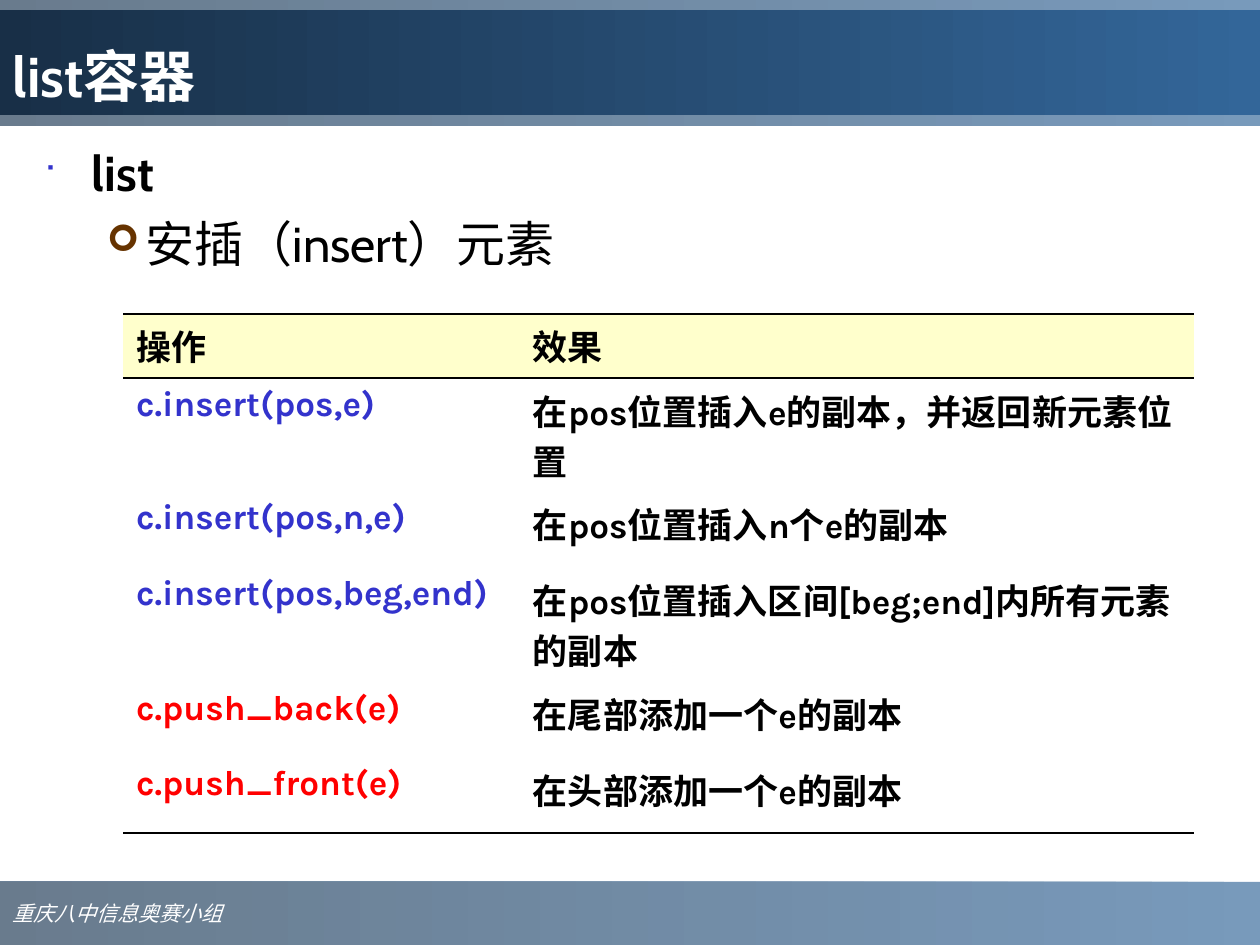
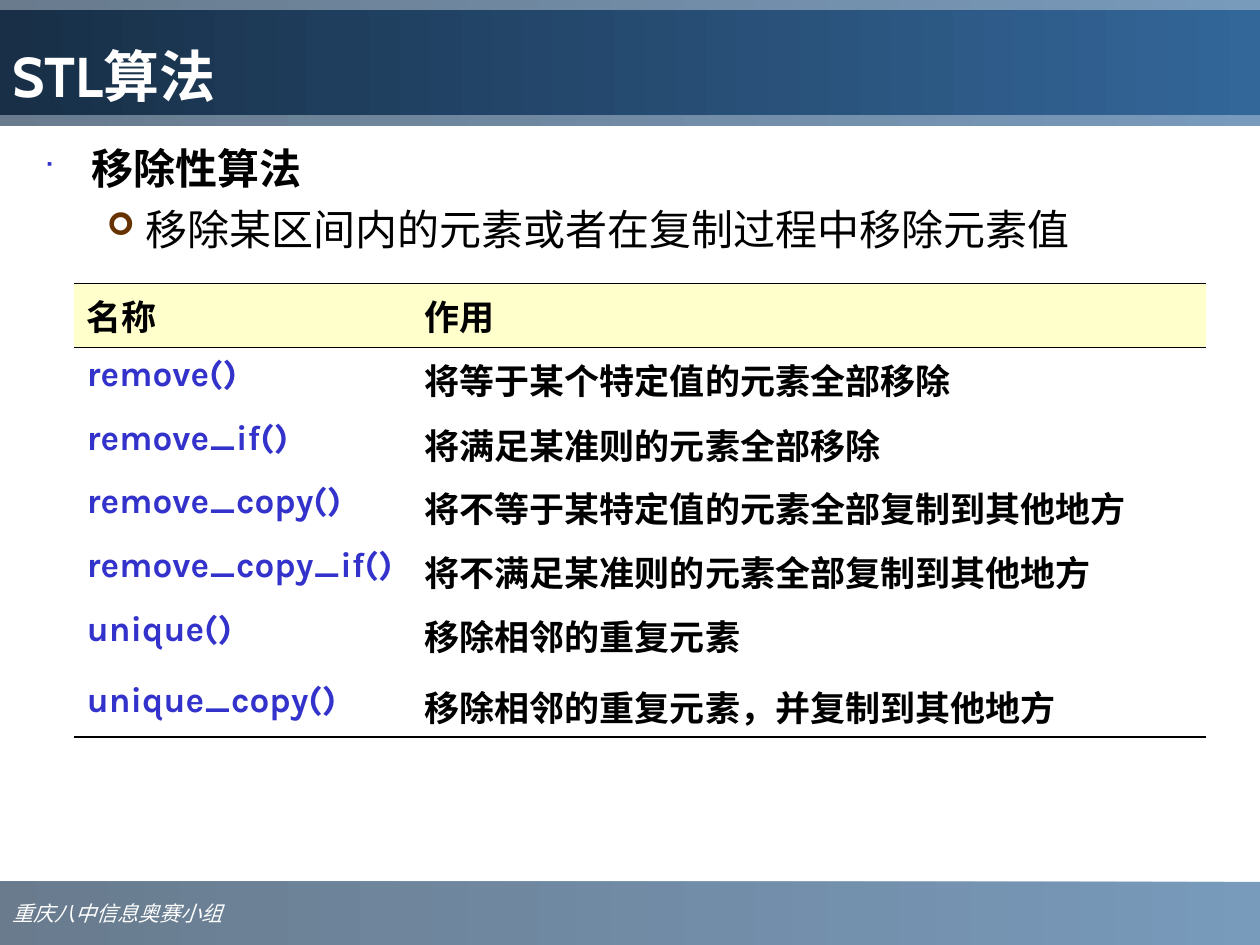
import pptx
import pptx.dml.color
import pptx.enum.lang
import pptx.enum.shapes
import pptx.enum.text
import pptx.oxml
import pptx.oxml.ns
import pptx.util

Inches, Pt = pptx.util.Inches, pptx.util.Pt
MIDDLE = pptx.enum.text.MSO_ANCHOR.MIDDLE
BOTTOM = pptx.enum.text.MSO_ANCHOR.BOTTOM

# Content
BLUE, RED, BLACK, WHITE = "3333CC", "FF0000", "000000", "FFFFFF"
FOOTER = "重庆八中信息奥赛小组"
SLIDES = [
    {
        "title": "list容器",
        "topic": "list",
        "detail": "安插（insert）元素",
        "size": 28, "gap": 7,
        "table_at": (0.98, 2.49),
        "columns": (3.15, 5.35),
        "heights": (0.51, 0.9, 0.6, 0.91, 0.6, 0.6),
        "header": ("操作", "效果"),
        "rows": [
            ("c.insert(pos,e)", "在pos位置插入e的副本，并返回新元素位置", BLUE),
            ("c.insert(pos,n,e)", "在pos位置插入n个e的副本", BLUE),
            ("c.insert(pos,beg,end)", "在pos位置插入区间[beg;end]内所有元素的副本", BLUE),
            ("c.push_back(e)", "在尾部添加一个e的副本", RED),
            ("c.push_front(e)", "在头部添加一个e的副本", RED),
        ],
    },
    {
        "title": "STL算法",
        "topic": "移除性算法",
        "detail": "移除某区间内的元素或者在复制过程中移除元素值",
        "size": 24, "gap": 6,
        "table_at": (0.59, 2.25),
        "columns": (2.68, 6.3),
        "heights": (0.51, 0.51, 0.5, 0.51, 0.51, 0.56, 0.5),
        "header": ("名称", "作用"),
        "rows": [
            ("remove()", "将等于某个特定值的元素全部移除", BLUE),
            ("remove_if()", "将满足某准则的元素全部移除", BLUE),
            ("remove_copy()", "将不等于某特定值的元素全部复制到其他地方", BLUE),
            ("remove_copy_if()", "将不满足某准则的元素全部复制到其他地方", BLUE),
            ("unique()", "移除相邻的重复元素", BLUE),
            ("unique_copy()", "移除相邻的重复元素，并复制到其他地方", BLUE),
        ],
    },
]

# Shared look
HEADER_FILL = "FFFFCC"
BAND = {"colors": ("336699", "1C3853"), "alpha": 66}
TITLE_BAND = {"colors": ("336699", "182F47"), "alpha": 100}
FOOTER_FONT = {"name": "Arial", "size": Pt(12), "italic": True}
TITLE_FONT = {"name": "Cabin", "size": Pt(32), "bold": True}
CELL_FONT = {"name": "Karla", "size": Pt(20), "bold": True}
# Each level: mark, mark colour, mark size in percent, text indent, hanging, bold
BULLETS = [("■", "3333CC", 60, 0.38, 0.38, True),
           ("➢", "663300", 75, 0.81, 0.31, False)]
OUTER_RULE, HEADER_RULE = 1.08, 0.75
NO_TABLE_STYLE = "{2D5ABB26-0587-4C30-8999-92F81FD0307C}"


def rgb(color):
    return pptx.dml.color.RGBColor.from_string(color)


def xml(markup):
    """Parse one drawing element given without its namespace."""
    tag, rest = markup[3:].split(" ", 1)
    return pptx.oxml.parse_xml(f"<a:{tag} {pptx.oxml.ns.nsdecls('a')} {rest}")


def write(paragraph, text, color, font):
    run = paragraph.add_run()
    run.text = text
    run.font.color.rgb = rgb(color)
    run.font.language_id = pptx.enum.lang.MSO_LANGUAGE_ID.SIMPLIFIED_CHINESE
    for key, value in font.items():
        setattr(run.font, key, value)


def add_band(slide, top, height, look, text="", font=None, anchor=MIDDLE, wrap=False):
    band = slide.shapes.add_shape(pptx.enum.shapes.MSO_SHAPE.RECTANGLE,
                                  0, Inches(top), Inches(10), Inches(height))
    band.shadow.inherit = False
    band.line.fill.background()
    band.fill.gradient()
    band.fill.gradient_angle = 180
    for position, (stop, color) in enumerate(zip(band.fill.gradient_stops, look["colors"])):
        stop.position = position
        stop.color.rgb = rgb(color)
        if look["alpha"] < 100:
            stop._gs.find(pptx.oxml.ns.qn("a:srgbClr")).append(
                xml(f'<a:alpha val="{look["alpha"] * 1000}"/>'))
    if text:
        frame = band.text_frame
        frame.word_wrap = wrap
        frame.vertical_anchor = anchor
        frame.paragraphs[0].alignment = pptx.enum.text.PP_ALIGN.LEFT
        write(frame.paragraphs[0], text, WHITE, font)


def add_body(slide, content):
    frame = slide.shapes.add_textbox(Inches(0.25), Inches(1.08),
                                     Inches(9.42), Inches(5.83)).text_frame
    frame.word_wrap = True
    for level, (mark, color, percent, indent, hanging, bold) in enumerate(BULLETS):
        paragraph = frame.add_paragraph() if level else frame.paragraphs[0]
        properties = paragraph._p.get_or_add_pPr()
        properties.set("marL", str(Inches(indent)))
        properties.set("indent", str(-Inches(hanging)))
        for markup in (f'<a:buClr ><a:srgbClr val="{color}"/></a:buClr>',
                       f'<a:buSzPct val="{percent * 1000}"/>',
                       '<a:buFont typeface="Wingdings" charset="2"/>',
                       f'<a:buChar char="{mark}"/>'):
            properties.append(xml(markup))
        if level:
            paragraph.level = level
            paragraph.space_before = Pt(content["gap"])
        write(paragraph, content["detail" if level else "topic"], BLACK,
              {"name": "Cabin", "size": Pt(content["size"]), "bold": bold})


def add_rules(cell, widths):
    """Draw the sides that have a width and clear the others."""
    for side in "LRTB":
        if side in widths:
            start = f'<a:ln{side} w="{Pt(widths[side])}">'
            fill = f'<a:solidFill><a:srgbClr val="{BLACK}"/></a:solidFill>'
        else:
            start, fill = f'<a:ln{side} w="0">', "<a:noFill/>"
        cell._tc.get_or_add_tcPr().append(xml(f"{start}{fill}</a:ln{side}>"))


def add_operations(slide, content):
    left, top = content["table_at"]
    rows = [(*content["header"], BLACK)] + content["rows"]
    rules = {0: {"T": OUTER_RULE, "B": HEADER_RULE},
             1: {"T": HEADER_RULE},
             len(rows) - 1: {"B": OUTER_RULE}}
    frame = slide.shapes.add_table(len(rows), 2, Inches(left), Inches(top),
                                   Inches(sum(content["columns"])),
                                   Inches(sum(content["heights"])))
    table = frame.table
    table.first_row = table.horz_banding = False
    table._tbl.tblPr.find(pptx.oxml.ns.qn("a:tableStyleId")).text = NO_TABLE_STYLE
    for column, width in zip(table.columns, content["columns"]):
        column.width = Inches(width)
    for number, (name, effect, color) in enumerate(rows):
        table.rows[number].height = Inches(content["heights"][number])
        for column, (text, ink) in enumerate(((name, color), (effect, BLACK))):
            cell = table.cell(number, column)
            write(cell.text_frame.paragraphs[0], text, ink, CELL_FONT)
            # Rules go in ahead of the fill
            add_rules(cell, rules.get(number, {}))
            if number == 0:
                cell.fill.solid()
                cell.fill.fore_color.rgb = rgb(HEADER_FILL)
            else:
                cell.fill.background()


def main():
    deck = pptx.Presentation()
    deck.slide_width, deck.slide_height = Inches(10), Inches(7.5)
    for content in SLIDES:
        slide = deck.slides.add_slide(deck.slide_layouts[6])
        # Footer, top band and title
        add_band(slide, 7, 0.5, BAND, FOOTER, FOOTER_FONT)
        add_band(slide, 0, 1, BAND)
        add_band(slide, 0.08, 0.83, TITLE_BAND, content["title"], TITLE_FONT, BOTTOM, True)
        # Bullets and table
        add_body(slide, content)
        add_operations(slide, content)
    deck.save("out.pptx")


if __name__ == "__main__":
    main()
